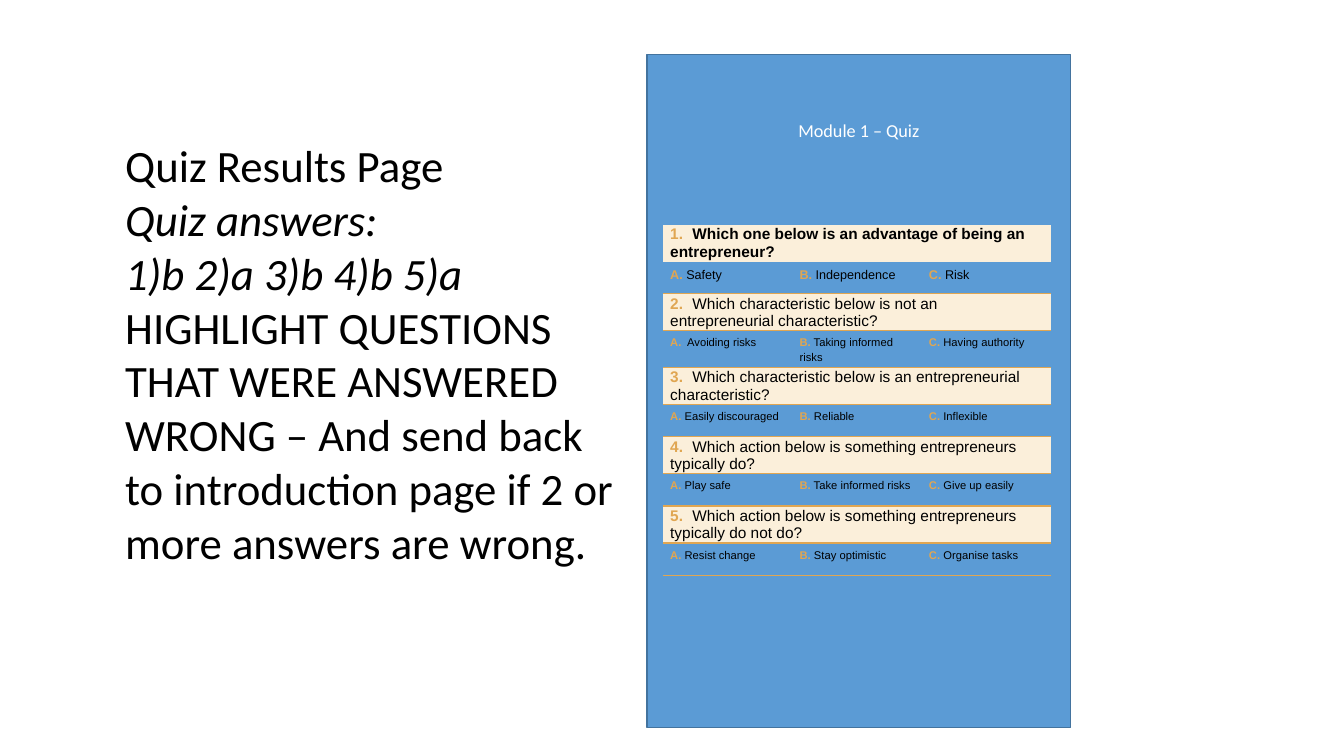
from lxml.etree import SubElement as Sub
from pptx import Presentation
from pptx.dml.color import RGBColor as Rgb
from pptx.enum.shapes import MSO_SHAPE as Form
from pptx.enum.text import MSO_ANCHOR as Anchor, MSO_AUTO_SIZE as Auto, PP_ALIGN as Align
from pptx.oxml import parse_xml
from pptx.oxml.ns import nsdecls, qn
from pptx.util import Cm, Pt

HUES = {"ink": "000000", "white": "FFFFFF", "blue": "5B9BD5", "edge": "43739E",
        "gold": "E0A652", "cream": "FBEFDA"}

LINES = [("Quiz Results Page", False), ("Quiz answers:", True), ("1)b 2)a 3)b 4)b 5)a", True),
         ("HIGHLIGHT QUESTIONS", False), ("THAT WERE ANSWERED", False),
         ("WRONG – And send back", False), ("to introduction page if 2 or", False),
         ("more answers are wrong.", False)]

QUIZ = [
    ("Which one below is an advantage of being an entrepreneur?",
     ["Safety", "Independence", "Risk"]),
    ("Which characteristic below is not an entrepreneurial characteristic?",
     [" Avoiding risks", "Taking informed risks", "Having authority"]),
    ("Which characteristic below is an entrepreneurial characteristic?",
     ["Easily discouraged", "Reliable", "Inflexible"]),
    ("Which action below is something entrepreneurs typically do?",
     ["Play safe", "Take informed risks", "Give up easily"]),
    ("Which action below is something entrepreneurs typically do not do?",
     ["Resist change", "Stay optimistic", "Organise tasks"]),
]


def put(item, **form):
    """Set each given attribute on the item."""
    for name, value in form.items():
        setattr(item, name, value)


class Page:
    """Holds the style and the current slide."""

    def __init__(self, deck):
        self.slide = deck.slides.add_slide(deck.slide_layouts[5])
        self.shapes = self.slide.shapes

    def hue(self, name):
        """Return a named colour."""
        return Rgb.from_string(HUES[name])

    def run(self, para, text, size, hue, face="Arial", **form):
        """Add styled text to a paragraph."""
        run = para.add_run()
        run.text = text
        put(run.font, size=Pt(size), name=face, **form)
        run.font.color.rgb = self.hue(hue)

    def title(self, lines, box):
        """Fill the title placeholder, one paragraph a line."""
        head = self.shapes.title
        put(head, **box)
        frame = head.text_frame
        put(frame, word_wrap=False, auto_size=Auto.SHAPE_TO_FIT_TEXT,
            vertical_anchor=Anchor.TOP)
        for num, (text, slant) in enumerate(lines):
            para = frame.add_paragraph() if num else frame.paragraphs[0]
            put(para, alignment=Align.LEFT, line_spacing=1.0, space_before=Pt(0))
            self.run(para, text, 32, "ink", "Calibri", italic=slant)

    def panel(self, text, *box):
        """Draw the blue panel with its heading."""
        rect = self.shapes.add_shape(Form.RECTANGLE, *box)
        rect.shadow.inherit = False
        rect.fill.solid()
        rect.fill.fore_color.rgb = self.hue("blue")
        rect.line.color.rgb = self.hue("edge")
        rect.line.width = Pt(1)
        put(rect.text_frame, vertical_anchor=Anchor.TOP, margin_top=Cm(1.63), word_wrap=True)
        para = rect.text_frame.paragraphs[0]
        para.alignment = Align.CENTER
        self.run(para, text, 13, "white", "Calibri")

    def rule(self, cell, side):
        """Draw a gold border on one side of a cell."""
        cell._tc.get_or_add_tcPr().insert(0, parse_xml(
            f'<a:{side} {nsdecls("a")} w="12700"><a:solidFill>'
            f'<a:srgbClr val="{HUES["gold"]}"/></a:solidFill></a:{side}>'))

    def ask(self, cells, num, text):
        """Fill a merged question row."""
        for cell in cells:
            cell.fill.solid()
            cell.fill.fore_color.rgb = self.hue("cream")
            if num > 1:
                self.rule(cell, "lnT")
        first = cells[0]
        first.merge(cells[-1])
        put(first, vertical_anchor=Anchor.MIDDLE, margin_left=Cm(0.18), margin_right=Cm(0.18),
            margin_top=0, margin_bottom=0)
        para = first.text_frame.paragraphs[0]
        tabs = Sub(para._p.get_or_add_pPr(), qn("a:tabLst"))
        Sub(tabs, qn("a:tab"), pos=str(Cm(0.56)), algn="l")
        self.run(para, f"{num}.", 11, "gold", bold=True)
        self.run(para, f"\t{text}", 11, "ink", bold=num == 1)

    def reply(self, cell, mark, text, size):
        """Fill one answer cell."""
        cell.fill.background()
        self.rule(cell, "lnB")
        put(cell, margin_left=Cm(0.18), margin_right=Cm(0.18), margin_top=Cm(0.1),
            margin_bottom=Cm(0.05))
        para = cell.text_frame.paragraphs[0]
        para.line_spacing = 1.15
        if mark == "A":
            put(para._p.get_or_add_pPr(), marL=Cm(0.56), indent=0)
        self.run(para, f"{mark}.", size, "gold", bold=True)
        self.run(para, f" {text}", size, "ink", bold=False)

    def quiz(self, items, left, top, width):
        """Build the table of questions and answers."""
        tall = [Cm(0.93), Cm(0.81)]
        grid = self.shapes.add_table(2 * len(items), 3, left, top, width,
                                     len(items) * sum(tall)).table
        put(grid, first_row=False, horz_banding=False)
        grid._tbl.tblPr.find(qn("a:tableStyleId")).text = "{2D5ABB26-0587-4C30-8999-92F81FD0307C}"
        for row, line in enumerate(grid.rows):
            line.height = tall[row % 2]
        for num, (text, picks) in enumerate(items, 1):
            row = 2 * num - 2
            self.ask([grid.cell(row, col) for col in range(3)], num, text)
            for col, pick in enumerate(picks):
                self.reply(grid.cell(row + 1, col), "ABC"[col], pick, 9 if num == 1 else 8)


def main():
    """Build and save the slide."""
    deck = Presentation()
    put(deck, slide_width=Cm(33.87), slide_height=Cm(19.05))
    page = Page(deck)
    page.title(LINES, dict(left=Cm(2.9), top=Cm(3.35), width=Cm(12.95), height=Cm(11.2)))
    page.panel("Module 1 – Quiz", Cm(16.31), Cm(1.37), Cm(10.67), Cm(16.97))
    page.quiz(QUIZ, Cm(16.71), Cm(5.66), Cm(9.78))
    deck.save("out.pptx")


if __name__ == "__main__":
    main()
